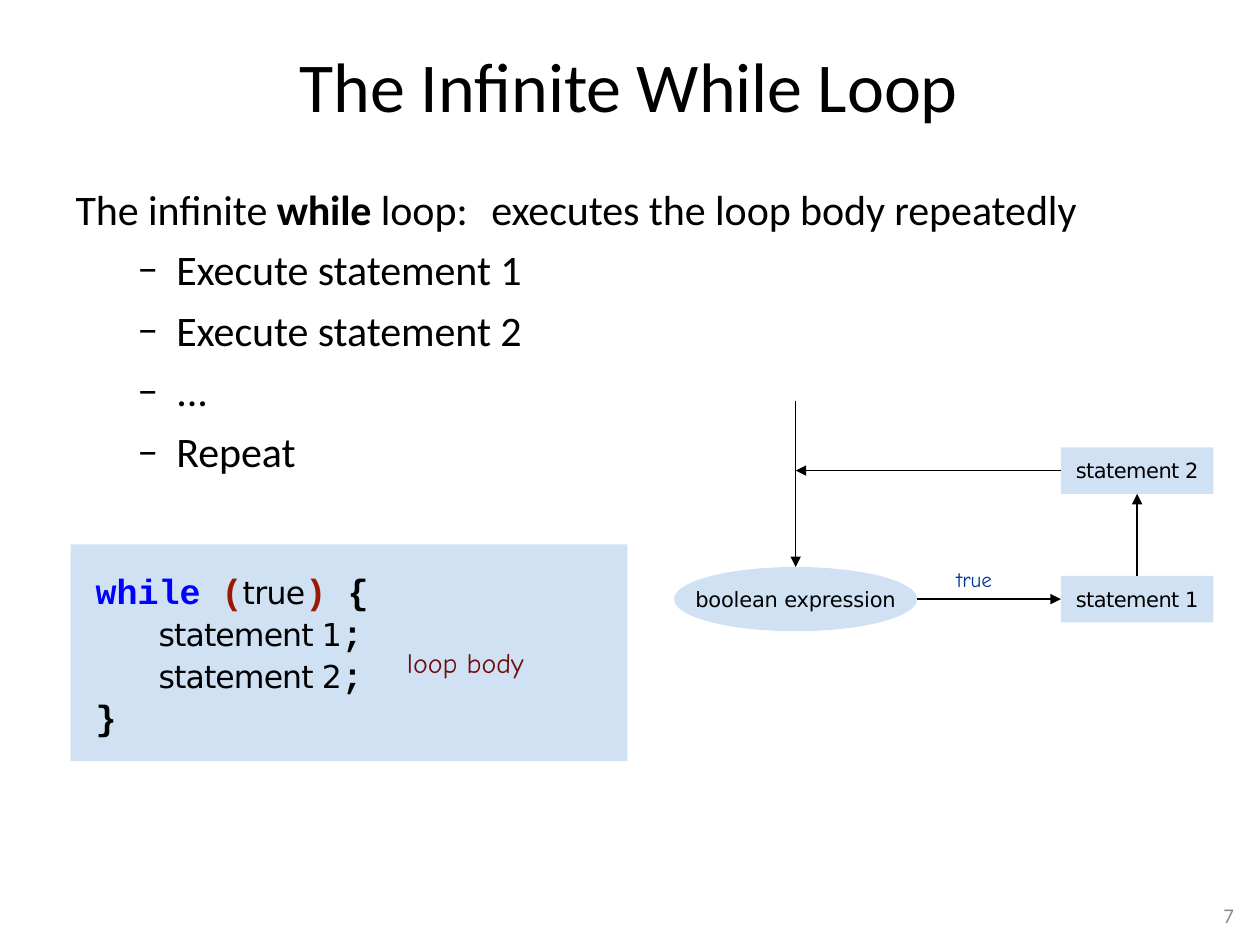
"""Build a slide on the infinite while loop with its code and flow chart."""
import pptx
import pptx.util
import pptx.dml.color
import pptx.enum.shapes
import pptx.enum.text
import pptx.oxml.ns
import lxml.etree

HUES = {"ink": "000000", "pale": "D0E1F4", "key": "0000FF", "paren": "9A1900",
        "flow": "003399", "note": "6D0E0E", "page": "898989"}

STYLES = {
    "title": {"name": "Calibri", "size": 40, "hue": "ink", "spc": -0.05},
    "body": {"name": "Calibri", "size": 24, "hue": "ink", "spc": -0.05},
    "bold": {"name": "Calibri", "size": 24, "hue": "ink", "spc": -0.1, "bold": True},
    "node": {"name": "DejaVu Sans", "size": 12, "hue": "ink", "spc": -0.3},
    "test": {"name": "DejaVu Sans", "size": 12, "hue": "ink", "spc": -0.1},
    "flow": {"name": "Comic Neue", "size": 12, "hue": "flow"},
    "note": {"name": "Comic Neue", "size": 16, "hue": "note"},
    "page": {"name": "Calibri", "size": 12, "hue": "page"},
    "key": {"name": "Courier New", "size": 20, "hue": "key", "bold": True},
    "paren": {"name": "Courier New", "size": 20, "hue": "paren", "bold": True},
    "mark": {"name": "Courier New", "size": 20, "hue": "ink", "bold": True},
    "word": {"name": "DejaVu Sans", "size": 18, "hue": "ink", "spc": -0.4},
    "state": {"name": "DejaVu Sans", "size": 18, "hue": "ink", "spc": -0.5},
}

STEPS = ["Execute statement 1", "Execute statement 2", "...", "Repeat"]
INTRO = {"runs": [("The inﬁnite ", "body"), ("while ", "bold"),
                  ("loop:\texecutes the loop body repeatedly", "body")],
         "left": 0.01, "tabs": [3.3]}
BODY = [INTRO] + [{"runs": [(step, "body")], "left": 0.81, "hang": -0.31,
                   "gap": 6 if row else 5, "dash": "–"}
                  for row, step in enumerate(STEPS)]
CODE = [{"runs": [("while\t", "key"), ("(", "paren"), ("true", "word"),
                  (")\t", "paren"), ("{", "mark")], "tabs": [1, 2]}]
CODE += [{"runs": [(f"statement {num}", "state"), (";", "mark")], "left": 0.5}
         for num in (1, 2)]
CODE += [{"runs": [("}", "mark")]}]

PANEL = (0.56, 4.32, 4.42, 1.72)
TEXTS = [
    ((2.38, 0.34, 5.4, 0.69), [{"runs": [("The Inﬁnite While Loop", "title")]}]),
    ((0.59, 1.46, 8.8, 2.32), BODY),
    ((7.59, 4.5, 0.5, 0.23), [{"runs": [("true", "flow")]}]),
    ((0.76, 4.52, 2.4, 1.36), CODE),
    ((3.23, 5.12, 1.1, 0.29), [{"runs": [("loop body", "note")]}]),
    ((9.71, 7.16, 0.21, 0.23), [{"runs": [("7", "page")]}]),
]

TEST = (5.35, 4.5, 1.93, 0.51)
WIDE, TALL, EDGE = 1.21, 0.37, 8.42
FIRST = (EDGE, 4.57, WIDE, TALL)
NEXT = (EDGE, 3.55, WIDE, TALL)
KINDS = pptx.enum.shapes.MSO_SHAPE
SHAPES = [
    (KINDS.RECTANGLE, PANEL, None, None),
    (KINDS.OVAL, TEST, "boolean expression", "test"),
    (KINDS.RECTANGLE, FIRST, "statement 1", "node"),
    (KINDS.RECTANGLE, NEXT, "statement 2", "node"),
]


def mid(box):
    """Return the centre of a box."""
    return box[0] + box[2] / 2, box[1] + box[3] / 2


AXIS, LEVEL = mid(TEST)
RISE, BACK = mid(NEXT)
ARROWS = [
    (AXIS, 3.18, AXIS, TEST[1]),
    (TEST[0] + TEST[2], LEVEL, EDGE, LEVEL),
    (RISE, FIRST[1], RISE, NEXT[1] + TALL),
    (EDGE, BACK, AXIS, BACK),
]


def inches(vals):
    """Turn numbers into lengths."""
    return [pptx.util.Inches(val) for val in vals]


def color(hue):
    """Look up a colour."""
    return pptx.dml.color.RGBColor.from_string(HUES[hue])


def add(node, tag, **attrs):
    """Add a drawing element."""
    kid = lxml.etree.SubElement(node, pptx.oxml.ns.qn(tag))
    for key, val in attrs.items():
        kid.set(key, str(val))
    return kid


def style(run, look):
    """Set the look of a run."""
    form = STYLES[look]
    vals = {"name": form["name"], "size": pptx.util.Pt(form["size"]),
            "bold": form.get("bold", False)}
    for key, val in vals.items():
        setattr(run.font, key, val)
    run.font.color.rgb = color(form["hue"])
    if "spc" in form:
        run._r.get_or_add_rPr().set("spc", str(round(form["spc"] * 100)))


def frame(shape, **extra):
    """Clear the margins of a shape and return its text frame."""
    text = shape.text_frame
    vals = {"margin_left": 0, "margin_top": 0, "margin_right": 0,
            "margin_bottom": 0, **extra}
    for key, val in vals.items():
        setattr(text, key, val)
    return text


def fill(para, item):
    """Fill a paragraph with its indents, bullet, tabs and runs."""
    props = para._p.get_or_add_pPr()
    props.set("marL", str(pptx.util.Inches(item.get("left", 0))))
    props.set("indent", str(pptx.util.Inches(item.get("hang", 0))))
    if "gap" in item:
        para.space_before = pptx.util.Pt(item["gap"])
    if "dash" in item:
        add(props, "a:buFont", typeface="Calibri")
        add(props, "a:buChar", char=item["dash"])
    if "tabs" in item:
        props.set("defTabSz", str(pptx.util.Inches(item["tabs"][0])))
        tabs = add(props, "a:tabLst")
        for stop in item["tabs"]:
            add(tabs, "a:tab", pos=pptx.util.Inches(stop), algn="l")
    for words, look in item["runs"]:
        run = para.add_run()
        run.text = words
        style(run, look)


def main():
    """Draw the slide and save it."""
    deck = pptx.Presentation()
    deck.slide_width, deck.slide_height = inches((10, 7.5))
    slide = deck.slides.add_slide(deck.slide_layouts[6])
    for kind, box, words, look in SHAPES:
        shape = slide.shapes.add_shape(kind, *inches(box))
        shape.shadow.inherit = False
        shape.fill.solid()
        shape.fill.fore_color.rgb = color("pale")
        shape.line.fill.background()
        if words:
            text = frame(shape, word_wrap=False,
                         vertical_anchor=pptx.enum.text.MSO_ANCHOR.MIDDLE)
            para = text.paragraphs[0]
            para.alignment = pptx.enum.text.PP_ALIGN.CENTER
            fill(para, {"runs": [(words, look)]})
    for ends in ARROWS:
        line = slide.shapes.add_connector(
            pptx.enum.shapes.MSO_CONNECTOR.STRAIGHT, *inches(ends))
        line.line.color.rgb = color("ink")
        line.line.width = pptx.util.Pt(0.75)
        add(line.line._get_or_add_ln(), "a:tailEnd", type="triangle")
        add(line._element.spPr, "a:effectLst")
    for box, items in TEXTS:
        text = frame(slide.shapes.add_textbox(*inches(box)), word_wrap=True)
        for row, item in enumerate(items):
            fill(text.add_paragraph() if row else text.paragraphs[0], item)
    deck.save("out.pptx")


if __name__ == "__main__":
    main()
